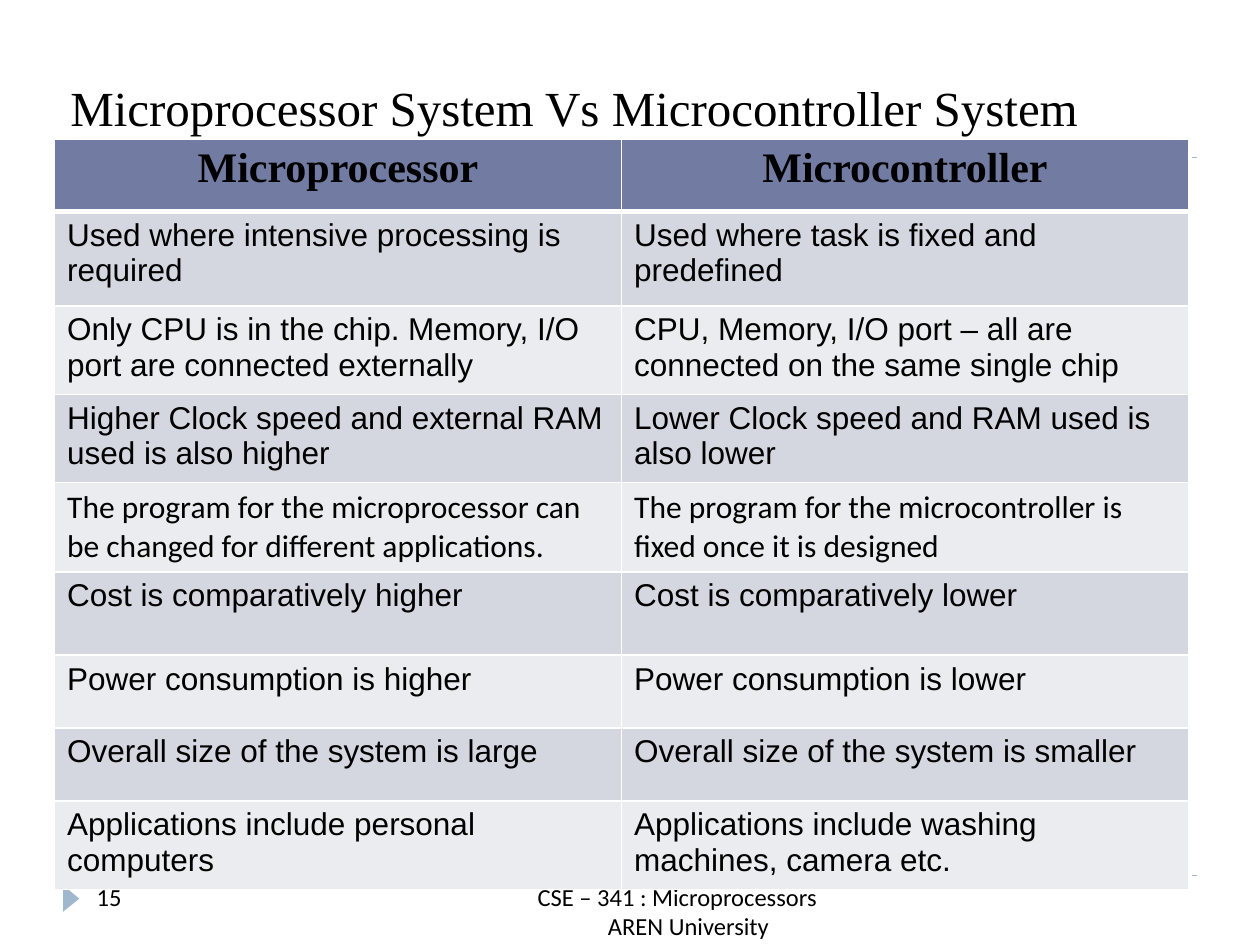
from lxml import etree
from pptx import Presentation
from pptx import util as u
from pptx.dml.color import RGBColor
from pptx.enum import dml, shapes, text
from pptx.oxml.ns import qn

INK, WHITE, ACCENT = "000000", "FFFFFF", "9FB8CD"
HEADER, BANDS = "727CA3", ("D4D6E0", "EBECF0")
ROW_HEIGHTS = (1.47, 1.9, 1.68, 1.68, 1.8, 1.68, 1.47, 1.47, 1.68)
ROWS = (
    ("Microprocessor", "Microcontroller"),
    ("Used where intensive processing is required",
     "Used where task is fixed and predefined"),
    ("Only CPU is in the chip. Memory, I/O port are connected externally",
     "CPU, Memory, I/O port – all are connected on the same single chip"),
    ("Higher Clock speed and external RAM used is also higher",
     "Lower Clock speed and RAM used is also lower"),
    ("The program for the microprocessor can be changed for different applications.",
     "The program for the microcontroller is fixed once it is designed"),
    ("Cost is comparatively higher", "Cost is comparatively lower"),
    ("Power consumption is higher", "Power consumption is lower"),
    ("Overall size of the system is large",
     "Overall size of the system is smaller"),
    ("Applications include personal computers",
     "Applications include washing machines, camera etc."),
)
CALIBRI_ROW = 4


def color(value):
    """Turn a hex string into a colour."""
    return RGBColor.from_string(value)


def add_run(p, words, size, font, bold=False):
    """Add one formatted run to a paragraph."""
    r = p.add_run()
    r.text = words
    r.font.size, r.font.name, r.font.bold = u.Pt(size), font, bold
    r.font.color.rgb = color(INK)


def add_box(s, x, y, w, h, anchor=text.MSO_ANCHOR.TOP):
    """Add a wrapping text box and return its text frame."""
    tf = s.shapes.add_textbox(u.Cm(x), u.Cm(y), u.Cm(w), u.Cm(h)).text_frame
    tf.word_wrap = True
    tf.vertical_anchor = anchor
    return tf


def add_rule(s, x, y, w):
    """Draw a dashed horizontal rule."""
    line = s.shapes.add_connector(shapes.MSO_CONNECTOR.STRAIGHT,
                                  u.Cm(x), u.Cm(y), u.Cm(x + w), u.Cm(y))
    line.line.color.rgb = color(ACCENT)
    line.line.width = u.Pt(0.75)
    line.line.dash_style = dml.MSO_LINE.DASH
    etree.SubElement(line._element.spPr, qn("a:effectLst"))


def add_title(s, x, y, w, h):
    """Place the title at the bottom of its box."""
    tf = add_box(s, x, y, w, h, text.MSO_ANCHOR.BOTTOM)
    add_run(tf.paragraphs[0], "Microprocessor System Vs Microcontroller System",
            28, "Times New Roman")


def set_borders(cell, top, bottom):
    """Give a cell white borders, with top and bottom widths in points."""
    tcPr = cell._tc.get_or_add_tcPr()
    widths = {"a:lnL": 1, "a:lnR": 1, "a:lnT": top, "a:lnB": bottom}
    for i, (tag, width) in enumerate(widths.items()):
        ln = etree.Element(qn(tag), w=str(u.Pt(width)))
        fill = etree.SubElement(ln, qn("a:solidFill"))
        etree.SubElement(fill, qn("a:srgbClr"), val=WHITE)
        tcPr.insert(i, ln)


def add_comparison(s, x, y, w):
    """Build the two-column comparison table."""
    table = s.shapes.add_table(len(ROWS), 2, u.Cm(x), u.Cm(y), u.Cm(w),
                               u.Cm(sum(ROW_HEIGHTS))).table
    for column in table.columns:
        column.width = u.Cm(w / 2)
    for i, (height, words) in enumerate(zip(ROW_HEIGHTS, ROWS)):
        table.rows[i].height = u.Cm(height)
        for cell, content in zip(table.rows[i].cells, words):
            cell.fill.solid()
            cell.fill.fore_color.rgb = color(BANDS[(i - 1) % 2] if i else HEADER)
            set_borders(cell, 3 if i == 1 else 1, 1 if i else 3)
            p = cell.text_frame.paragraphs[0]
            if i == 0:
                p.alignment = text.PP_ALIGN.CENTER
                add_run(p, content, 24, "Times New Roman", True)
            else:
                font = "Calibri" if i == CALIBRI_ROW else "Arial"
                add_run(p, content, 18, font)


def add_footer(s, x, y, w, h):
    """Place the marker, page number and course lines."""
    sp = s.shapes.add_shape(shapes.MSO_SHAPE.ISOSCELES_TRIANGLE, u.Cm(x),
                            u.Cm(y + 0.3), u.Cm(0.53), u.Cm(0.33))
    sp.rotation = 90
    sp.shadow.inherit = False
    sp.fill.solid()
    sp.fill.fore_color.rgb = color(ACCENT)
    sp.line.fill.background()
    number = add_box(s, x + 0.53, y, 5.5, h)
    add_run(number.paragraphs[0], "15", 14, "Calibri")
    course = add_box(s, x + 3.91, y, w - 3.91, h)
    first, second = course.paragraphs[0], course.add_paragraph()
    for p, words in ((first, "CSE – 341 : Microprocessors"),
                     (second, "AREN University")):
        p.alignment = text.PP_ALIGN.CENTER
        add_run(p, words, 14, "Calibri")
    second._p.get_or_add_pPr().set("marL", str(u.Cm(0.45)))


def main():
    """Build and save the slide."""
    prs = Presentation()
    prs.slide_width, prs.slide_height = u.Cm(25.4), u.Cm(19.05)
    s = prs.slides.add_slide(prs.slide_layouts[6])
    for y in (17.65, 3.18):
        add_rule(s, 1.27, y, 22.86)
    add_title(s, 1.17, 0.13, 22.86, 2.74)
    add_footer(s, 1.17, 17.65, 21.06, 1.02)
    add_comparison(s, 1.1, 2.8, 22.86)
    prs.save("out.pptx")


if __name__ == "__main__":
    main()
